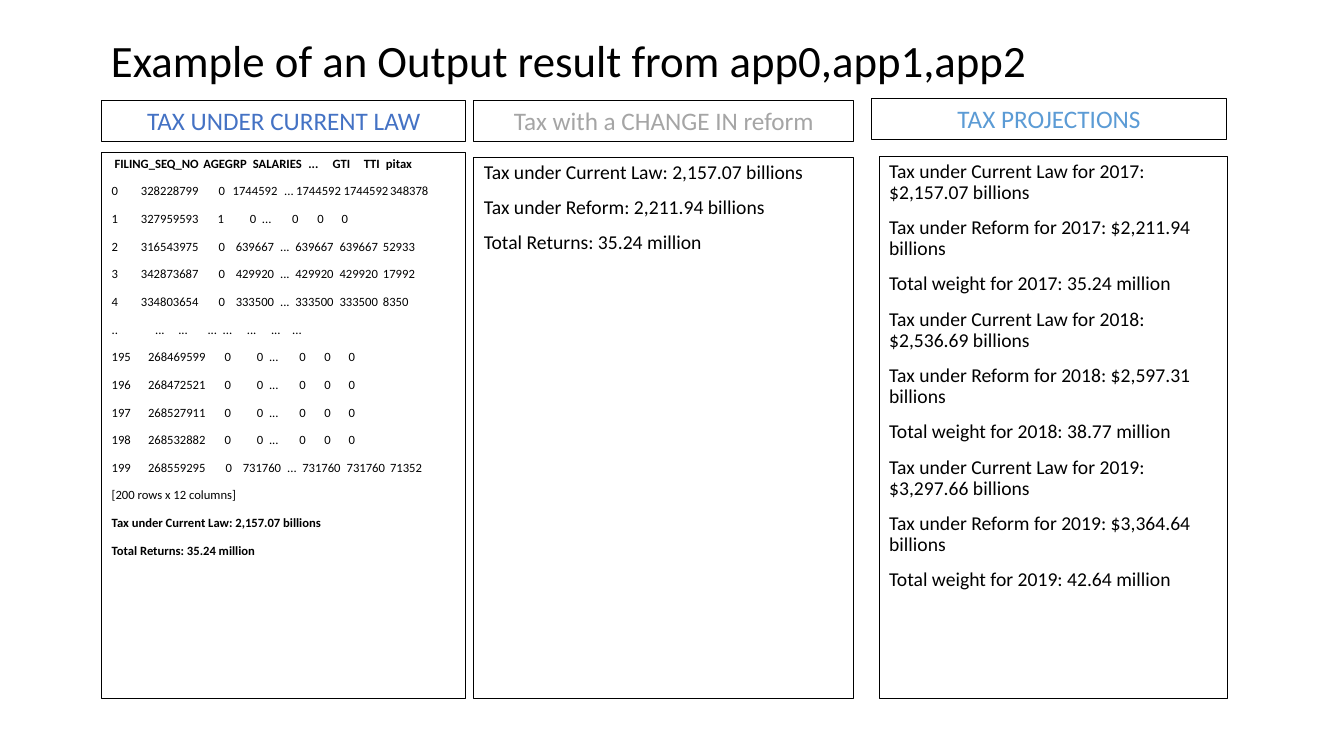
from lxml import etree
from pptx import Presentation
from pptx.dml.color import RGBColor
from pptx.enum.shapes import MSO_SHAPE
from pptx.enum.text import MSO_ANCHOR, MSO_AUTO_SIZE, PP_ALIGN
from pptx.oxml.ns import qn
from pptx.util import Inches, Pt

BLACK = RGBColor(0x00, 0x00, 0x00)
BLUE = RGBColor(0x44, 0x72, 0xC4)
GREY = RGBColor(0xA5, 0xA5, 0xA5)
SKY = RGBColor(0x5B, 0x9B, 0xD5)
FONT = "Calibri"

# Shared grid, in inches
HEADING_HEIGHT = 0.4
BODY_BOTTOM = 6.93

# Tab stops of the printed data frame, in inches from the text edge
HEADER_STOPS = [0.91, 1.40, 1.95, 2.19, 2.50, 2.72]
LARGEST_STOPS = [0.29, 1.06, 1.20, 1.71, 1.83, 2.30, 2.76]
AMOUNT_STOPS = [0.29, 1.06, 1.23, 1.67, 1.82, 2.26, 2.69]
ZERO_STOPS = [0.29, 1.05, 1.37, 1.49, 1.79, 2.04, 2.28]
DOTS_STOPS = [0.43, 0.66, 0.95, 1.10, 1.34, 1.58, 1.79]
LONG_INDEX_SHIFT = 0.07


def add_box(slide, left, top, width, height, anchor):
    """Add an unfilled rectangle with a thin black outline; return its text frame."""
    box = slide.shapes.add_shape(MSO_SHAPE.RECTANGLE, Inches(left), Inches(top),
                                 Inches(width), Inches(height))
    box.shadow.inherit = False
    box.fill.background()
    box.line.color.rgb = BLACK
    box.line.width = Pt(0.75)
    box.text_frame.word_wrap = True
    box.text_frame.vertical_anchor = anchor
    return box.text_frame


def write(paragraph, text, size, color=BLACK, bold=False, align=PP_ALIGN.LEFT,
          spacing=0.9, before=10, stops=()):
    """Fill a paragraph with formatted text and optional tab stops."""
    paragraph.alignment = align
    paragraph.line_spacing = spacing
    paragraph.space_before = Pt(before)
    run = paragraph.add_run()
    run.text = text
    run.font.name = FONT
    run.font.size = Pt(size)
    run.font.bold = bold
    run.font.color.rgb = color
    if stops:
        tabs = etree.SubElement(paragraph._p.get_or_add_pPr(), qn("a:tabLst"))
        for stop in stops:
            etree.SubElement(tabs, qn("a:tab"), pos=str(Inches(stop)), algn="l")


# Data frame rows: (index, filing number, age group, salaries, GTI, TTI, tax)
filings = [
    ("0", "328228799", "0", "1744592", "348378"),
    ("1", "327959593", "1", "0", "0"),
    ("2", "316543975", "0", "639667", "52933"),
    ("3", "342873687", "0", "429920", "17992"),
    ("4", "334803654", "0", "333500", "8350"),
    ("195", "268469599", "0", "0", "0"),
    ("196", "268472521", "0", "0", "0"),
    ("197", "268527911", "0", "0", "0"),
    ("198", "268532882", "0", "0", "0"),
    ("199", "268559295", "0", "731760", "71352"),
]
current_law = "Tax under Current Law: 2,157.07 billions"
returns = "Total Returns: 35.24 million"

# Each line is (text, bold, tab stops)
header = ["FILING_SEQ_NO", "AGEGRP", "SALARIES", "...", "GTI", "TTI", "pitax"]
frame_lines = [(" " + "\t".join(header), True, HEADER_STOPS)]
for index, number, age, income, tax in filings:
    if index == "195":
        frame_lines.append(("\t".join([".."] + ["..."] * 7), False, DOTS_STOPS))
    stops = {"0": ZERO_STOPS, "1744592": LARGEST_STOPS}.get(income, AMOUNT_STOPS)
    shift = LONG_INDEX_SHIFT if len(index) == 3 else 0
    cells = [index, number, age, income, "...", income, income, tax]
    frame_lines.append(("\t".join(cells), False, [stop + shift for stop in stops]))
frame_lines += [("[200 rows x 12 columns]", False, ()),
                (current_law, True, ()), (returns, True, ())]

reform_lines = [(text, False, ()) for text in
                (current_law, "Tax under Reform: 2,211.94 billions", returns)]

projection_lines = []
for year, law, reform, weight in [(2017, "2,157.07", "2,211.94", "35.24"),
                                  (2018, "2,536.69", "2,597.31", "38.77"),
                                  (2019, "3,297.66", "3,364.64", "42.64")]:
    projection_lines += [
        (f"Tax under Current Law for {year}: ${law} billions", False, ()),
        (f"Tax under Reform for {year}: ${reform} billions", False, ()),
        (f"Total weight for {year}: {weight} million", False, ()),
    ]

# Heading, colour, heading (left, top, width), body (left, top, width), size, lines
columns = [
    ("TAX UNDER CURRENT LAW", BLUE, (1.01, 1.0, 3.61), (1.01, 1.51, 3.61),
     9, frame_lines),
    ("Tax with a CHANGE IN reform", GREY, (4.7, 1.0, 3.77), (4.7, 1.56, 3.77),
     14, reform_lines),
    ("TAX PROJECTIONS", SKY, (8.64, 0.98, 3.53), (8.72, 1.55, 3.45),
     14, projection_lines),
]

prs = Presentation()
prs.slide_width = Inches(13.33)
prs.slide_height = Inches(7.5)
slide = prs.slides.add_slide(prs.slide_layouts[5])

title = slide.shapes.title
title.left, title.top = Inches(1), Inches(0.27)
title.width, title.height = Inches(11.33), Inches(0.7)
title.text_frame.word_wrap = True
title.text_frame.auto_size = MSO_AUTO_SIZE.NONE
title.text_frame.vertical_anchor = MSO_ANCHOR.MIDDLE
write(title.text_frame.paragraphs[0],
      "Example of an Output result from app0,app1,app2", 32, before=0)

for heading, color, heading_place, body_place, size, lines in columns:
    heading_frame = add_box(slide, *heading_place, HEADING_HEIGHT, MSO_ANCHOR.BOTTOM)
    write(heading_frame.paragraphs[0], heading, 18, color,
          align=PP_ALIGN.CENTER, spacing=0.85)

    body_height = BODY_BOTTOM - body_place[1]
    body_frame = add_box(slide, *body_place, body_height, MSO_ANCHOR.TOP)
    for number, (text, bold, stops) in enumerate(lines):
        paragraph = body_frame.add_paragraph() if number else body_frame.paragraphs[0]
        write(paragraph, text, size, bold=bold, stops=stops)

prs.save("out.pptx")
